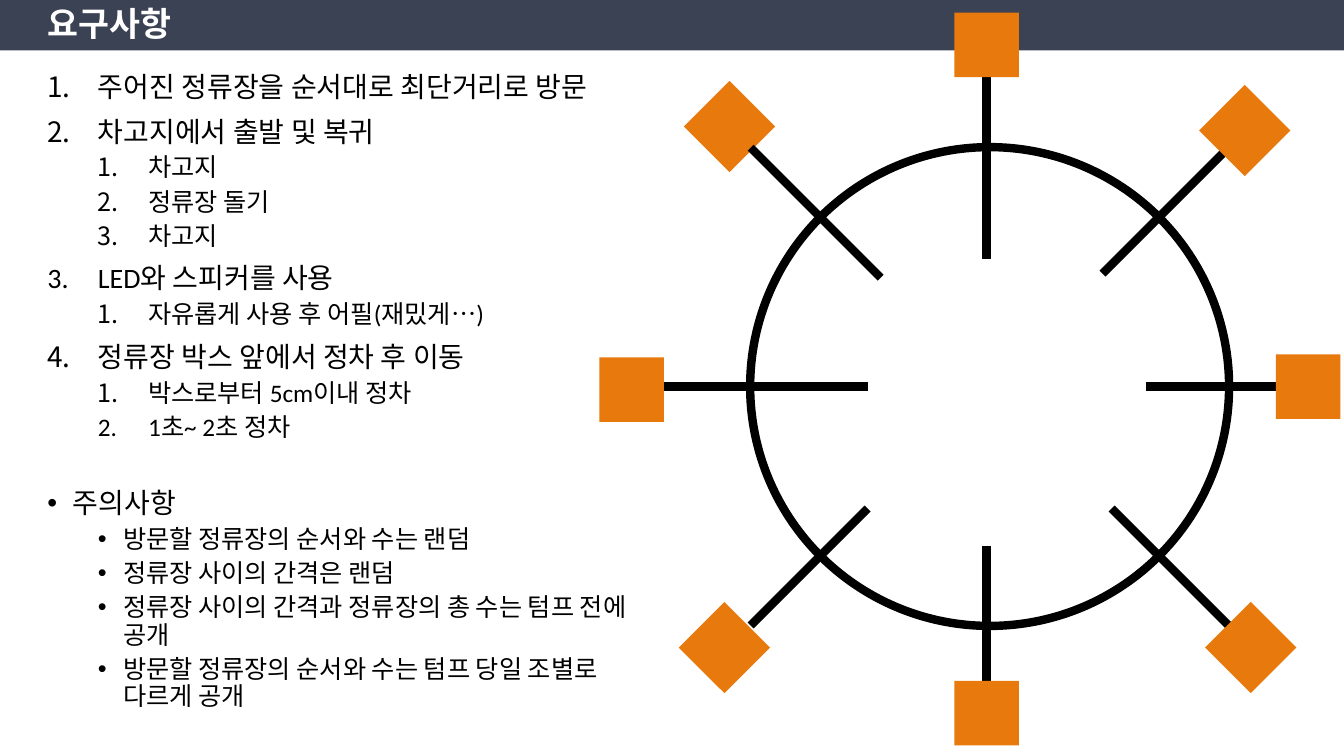
from lxml import etree
from pptx import Presentation
from pptx import util as u
from pptx.dml.color import RGBColor
from pptx.enum import shapes, text
from pptx.oxml import ns

COLORS = {"bar": "3B4253", "title": "FFFFFF", "ink": "000000", "stop": "E8790C"}
FONT = "Calibri"
WIDTH, HEIGHT = u.Inches(13.33), u.Inches(7.5)
COLUMN, ROW = WIDTH / 13.33, HEIGHT / 7.5
STOP_SIZE = 0.64
SPOKE_WEIGHT = u.Pt(6)

REQUIREMENTS = [
    (0, "주어진 정류장을 순서대로 최단거리로 방문"),
    (0, "차고지에서 출발 및 복귀"),
    (1, "차고지"),
    (1, "정류장 돌기"),
    (1, "차고지"),
    (0, "LED와 스피커를 사용"),
    (1, "자유롭게 사용 후 어필(재밌게…)"),
    (0, "정류장 박스 앞에서 정차 후 이동"),
    (1, "박스로부터 5cm이내 정차"),
    (1, "1초~ 2초 정차"),
]
CAUTIONS = [
    (0, "주의사항"),
    (1, "방문할 정류장의 순서와 수는 랜덤"),
    (1, "정류장 사이의 간격은 랜덤"),
    (1, "정류장 사이의 간격과 정류장의 총 수는 텀프 전에 공개"),
    (1, "방문할 정류장의 순서와 수는 텀프 당일 조별로 다르게 공개"),
]
SPOKES = [
    ((-3.24, 0), (-1.21, 0)),
    ((-2.37, -2.37), (-1.08, -1.08)),
    ((-2.37, 2.37), (-1.21, 1.21)),
    ((-0.03, -3.07), (-0.03, -1.27)),
    ((2.37, 2.37), (1.21, 1.21)),
    ((3.02, 0), (1.55, 0)),
    ((2.37, -2.37), (1.12, -1.12)),
    ((-0.03, 2.92), (-0.03, 1.58)),
]
STOPS_BEHIND = [(-2.58, -2.58, 45)]
STOPS_IN_FRONT = [
    (-0.03, 3.24, 0), (-3.55, 0.03, 0), (3.16, 0, 0), (-0.03, -3.39, 0),
    (-2.63, 2.59, 45), (2.53, -2.54, 45), (2.59, 2.59, 45),
]


def grid_box(left, top, columns, rows):
    """Turn grid columns and rows into slide lengths."""
    return [round(length) for length in
            (left * COLUMN, top * ROW, columns * COLUMN, rows * ROW)]


def place(part, box):
    """Move a placeholder into a box."""
    part.left, part.top, part.width, part.height = box


def style_run(run, size, color, bold=False):
    """Set the font of a run."""
    run.font.name, run.font.size, run.font.bold = FONT, u.Pt(size), bold
    run.font.color.rgb = RGBColor.from_string(COLORS[color])


def add_solid(slide, kind, box, color):
    """Add a filled shape without outline."""
    solid = slide.shapes.add_shape(kind, *box)
    solid.shadow.inherit = False
    solid.fill.solid()
    solid.fill.fore_color.rgb = RGBColor.from_string(COLORS[color])
    solid.line.fill.background()
    return solid


def draw_line(line):
    """Set the black line used by the ring and its spokes."""
    line.color.rgb = RGBColor.from_string(COLORS["ink"])
    line.width = SPOKE_WEIGHT


def add_header(slide, box):
    """Fill the title bar and place the title on it."""
    left, top, width, height = box
    title = slide.shapes.title
    bar = add_solid(slide, shapes.MSO_SHAPE.RECTANGLE, box, "bar")
    title.element.addprevious(bar.element)
    place(title, (left + round(0.37 * COLUMN), top, round(7.11 * COLUMN), height))
    frame = title.text_frame
    frame.text = "요구사항"
    frame.auto_size = text.MSO_AUTO_SIZE.NONE
    frame.vertical_anchor = text.MSO_ANCHOR.MIDDLE
    heading = frame.paragraphs[0]
    heading.alignment = text.PP_ALIGN.LEFT
    heading.line_spacing = 0.9
    style_run(heading.runs[0], 24, "title", True)


def format_item(item, level, wording, hanging, marker, attributes):
    """Write one list item with its marker and indents."""
    item.text = wording
    item.level = level
    item.alignment = text.PP_ALIGN.LEFT
    item.line_spacing = 0.9
    item.space_before = u.Pt((10, 5)[level])
    item.space_after = u.Pt(0)
    style_run(item.runs[0], (20, 18)[level], "ink")
    properties = item._p.get_or_add_pPr()
    properties.set("marL", str(u.Inches(hanging + 0.5 * level)))
    properties.set("indent", str(-u.Inches(hanging)))
    etree.SubElement(properties, ns.qn(marker), attributes)


def add_rules(slide, box):
    """Fill the body with numbered requirements and bulleted cautions."""
    body = slide.placeholders[1]
    place(body, box)
    frame = body.text_frame
    frame.text = "\n".join(wording for _, wording in REQUIREMENTS + CAUTIONS)
    frame.auto_size = text.MSO_AUTO_SIZE.NONE
    items = frame.paragraphs
    split = len(REQUIREMENTS)
    for item, (level, wording) in zip(items, REQUIREMENTS):
        format_item(item, level, wording, 0.5, "a:buAutoNum", {"type": "arabicPeriod"})
    for item, (level, wording) in zip(items[split:], CAUTIONS):
        format_item(item, level, wording, 0.25, "a:buChar", {"char": "•"})
    items[split].space_before = u.Pt(34)


def add_route(slide, box):
    """Draw the ring road, its spokes and the stops around its centre."""
    left, top, width, height = box
    center_x, center_y = left + width / 2, top + height / 2

    def point(across, down):
        return round(center_x + across * COLUMN), round(center_y + down * ROW)

    def add_stops(stops):
        for across, down, turn in stops:
            corner = point(across - STOP_SIZE / 2, down - STOP_SIZE / 2)
            size = (round(STOP_SIZE * COLUMN), round(STOP_SIZE * ROW))
            stop = add_solid(slide, shapes.MSO_SHAPE.RECTANGLE, corner + size, "stop")
            stop.rotation = turn

    ring = slide.shapes.add_shape(shapes.MSO_SHAPE.OVAL, *box)
    ring.shadow.inherit = False
    ring.fill.background()
    draw_line(ring.line)
    add_stops(STOPS_BEHIND)
    for outer, inner in SPOKES:
        spoke = slide.shapes.add_connector(
            shapes.MSO_CONNECTOR.STRAIGHT, *point(*outer), *point(*inner))
        draw_line(spoke.line)
        etree.SubElement(spoke.element.spPr, ns.qn("a:effectLst"))
    add_stops(STOPS_IN_FRONT)


def build():
    """Build the requirements slide and save it."""
    deck = Presentation()
    deck.slide_width, deck.slide_height = WIDTH, HEIGHT
    slide = deck.slides.add_slide(deck.slide_layouts[1])
    add_header(slide, grid_box(0, 0, 13.33, 0.5))
    add_rules(slide, grid_box(0.37, 0.68, 6.3, 6.07))
    add_route(slide, grid_box(7.44, 1.46, 4.75, 4.75))
    deck.save("out.pptx")


build()
